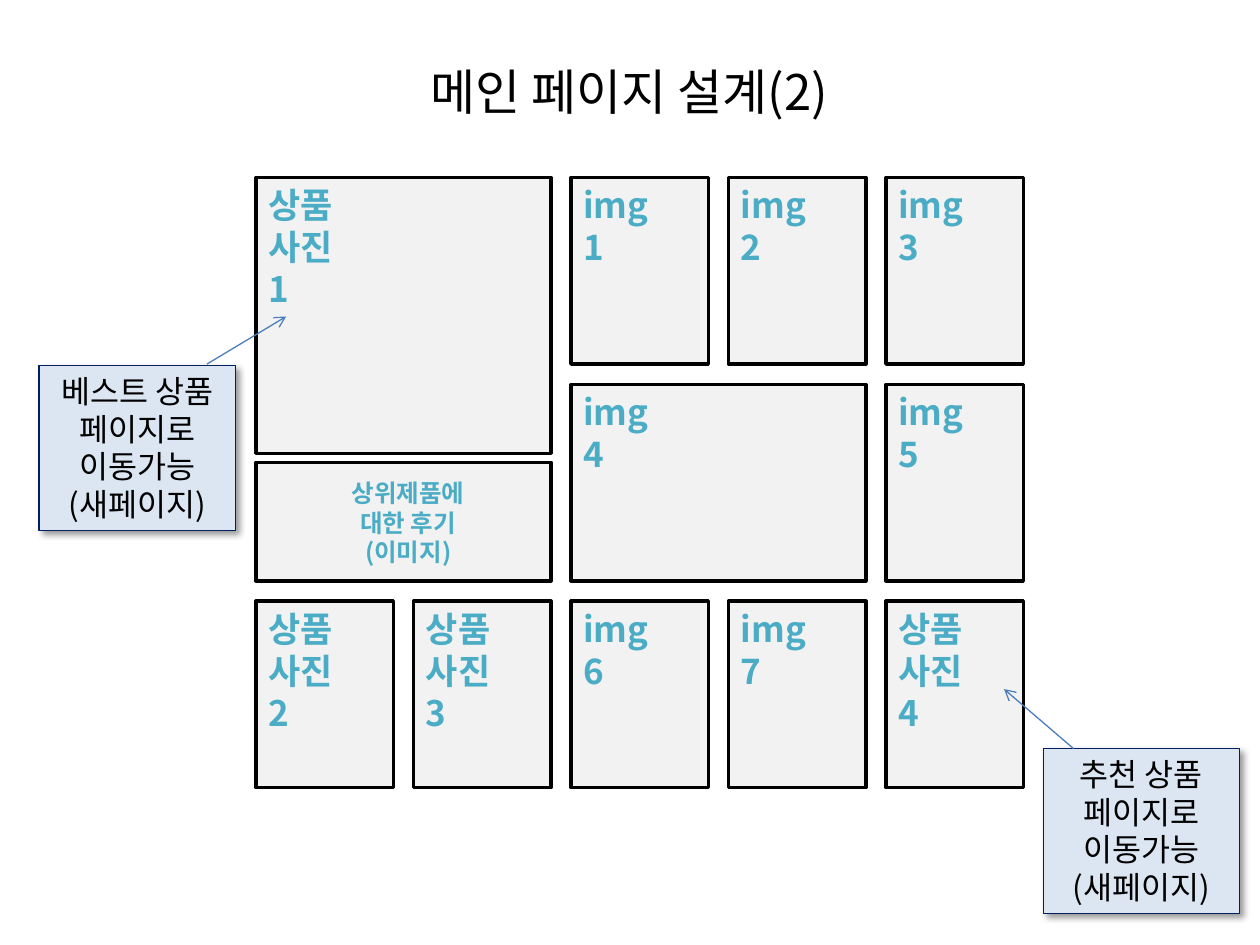
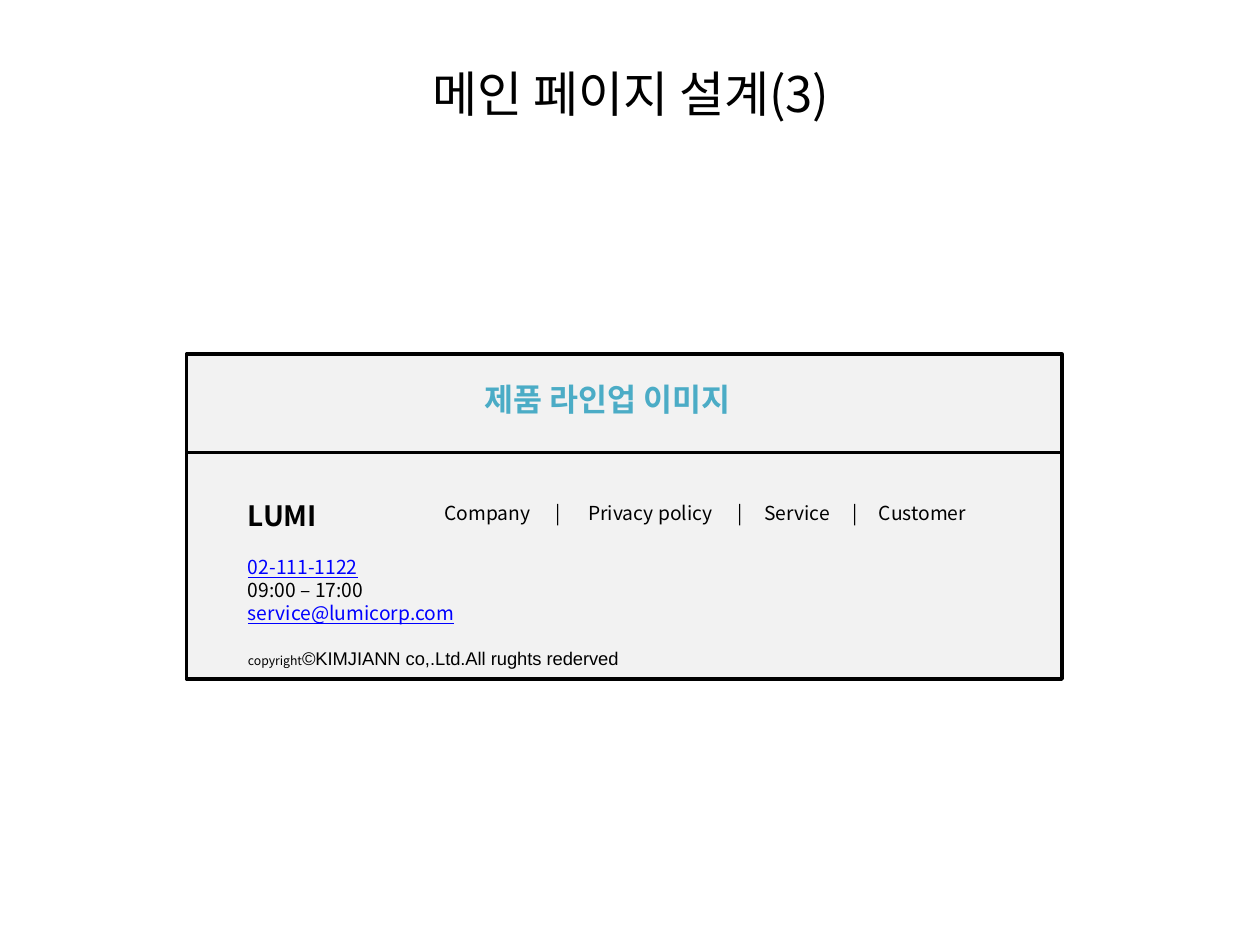
from lxml.etree import SubElement
from pptx import Presentation
from pptx.dml.color import RGBColor
from pptx.enum.shapes import MSO_CONNECTOR, MSO_SHAPE
from pptx.enum.text import MSO_ANCHOR, MSO_AUTO_SIZE, PP_ALIGN
from pptx.oxml.ns import qn
from pptx.util import Cm, Pt

FONT = "Noto Sans CJK KR"
COLORS = {
    "black": "000000",
    "tile": "F2F2F2",
    "label": "4BACC6",
    "callout": "DCE6F2",
    "navy": "002060",
    "arrow": "4B7EBC",
    "link": "0000FF",
}


def rgb(name):
    return RGBColor.from_string(COLORS[name])


def add_run(p, text, size=18, color="black", bold=False, underline=False, font=FONT):
    r = p.add_run()
    r.text = text
    r.font.size = Pt(size)
    r.font.bold = bold
    r.font.underline = underline
    r.font.color.rgb = rgb(color)
    r.font.name = font
    SubElement(r.font._element, qn("a:ea"), typeface=font)


def write(tf, lines, align=PP_ALIGN.LEFT, **fmt):
    """Write one paragraph per line, all in the same format."""
    for i, line in enumerate(lines):
        p = tf.paragraphs[0] if i == 0 else tf.add_paragraph()
        p.alignment = align
        add_run(p, line, **fmt)


class Deck:
    def __init__(self):
        self.prs = Presentation()
        self.prs.slide_width, self.prs.slide_height = Cm(25.4), Cm(19.05)
        self.s = None

    def slide(self, title, x, y, w, h):
        self.s = self.prs.slides.add_slide(self.prs.slide_layouts[5])
        sp = self.s.shapes.title
        sp.left, sp.top, sp.width, sp.height = Cm(x), Cm(y), Cm(w), Cm(h)
        sp.text_frame.vertical_anchor = MSO_ANCHOR.MIDDLE
        write(sp.text_frame, [title], PP_ALIGN.CENTER, size=28)

    def rect(self, x, y, w, h, fill="tile", line="black", width=2):
        sp = self.s.shapes.add_shape(MSO_SHAPE.RECTANGLE, Cm(x), Cm(y), Cm(w), Cm(h))
        sp.shadow.inherit = False
        sp.fill.solid()
        sp.fill.fore_color.rgb = rgb(fill)
        sp.line.color.rgb = rgb(line)
        sp.line.width = Pt(width)
        return sp

    def text(self, x, y, w, h, lines=(), **fmt):
        tf = self.s.shapes.add_textbox(Cm(x), Cm(y), Cm(w), Cm(h)).text_frame
        tf.word_wrap = True
        tf.auto_size = MSO_AUTO_SIZE.SHAPE_TO_FIT_TEXT
        write(tf, lines, **fmt)
        return tf

    def callout(self, x, y, lines):
        sp = self.rect(x, y, 3.96, 3.33, "callout", "navy", 0.75)
        effects = sp._element.spPr.find(qn("a:effectLst"))
        shadow = SubElement(effects, qn("a:outerShdw"), blurRad=str(Pt(4)),
                            dist=str(Pt(3)), dir=str(45 * 60000), algn="tl", rotWithShape="0")
        color = SubElement(shadow, qn("a:srgbClr"), val=COLORS["black"])
        SubElement(color, qn("a:alpha"), val="40000")
        sp.text_frame.word_wrap = True
        sp.text_frame.vertical_anchor = MSO_ANCHOR.TOP
        write(sp.text_frame, lines, PP_ALIGN.CENTER)

    def arrow(self, x1, y1, x2, y2):
        c = self.s.shapes.add_connector(MSO_CONNECTOR.STRAIGHT, Cm(x1), Cm(y1), Cm(x2), Cm(y2))
        c.line.color.rgb = rgb("arrow")
        c.line.width = Pt(0.75)
        SubElement(c.line._get_or_add_ln(), qn("a:tailEnd"), type="arrow")
        SubElement(c._element.spPr, qn("a:effectLst"))


def tile_grid(deck):
    left, pitch, cell = 5.16, 3.175, 2.77
    rows = [(3.58, 3.76), (7.75, 3.96), (12.12, 3.76)]
    # label, column, row, columns spanned
    tiles = [
        ("img1", 2, 0, 1), ("img2", 3, 0, 1), ("img3", 4, 0, 1),
        ("img4", 2, 1, 2), ("img5", 4, 1, 1),
        ("상품사진2", 0, 2, 1), ("상품사진3", 1, 2, 1),
        ("img6", 2, 2, 1), ("img7", 3, 2, 1), ("상품사진4", 4, 2, 1),
    ]
    label = dict(size=20, color="label", bold=True)
    for name, col, row, span in tiles:
        x, (y, h) = left + col * pitch, rows[row]
        deck.rect(x, y, cell + (span - 1) * pitch, h)
        deck.text(x, y, 1.98, 1.96 if name.startswith("img") else 2.82, [name], **label)

    # Best product with its review strip below
    wide = cell + pitch
    deck.rect(left, rows[0][0], wide, 5.56)
    deck.text(left, rows[0][0], 2.18, 2.82, ["상품사진1"], **label)
    deck.rect(left, 9.32, wide, 2.39)
    deck.text(6.35, 9.52, 3.76, 2.06, ["상위제품에 대한 후기", "(이미지)"],
              align=PP_ALIGN.CENTER, size=14, color="label", bold=True)


def footer_mockup(deck):
    left, width = 3.76, 17.65
    deck.rect(left, 9.12, width, 4.57)
    deck.rect(left, 7.14, width, 1.98)
    deck.text(9.52, 7.54, 6.15, 1.02, ["제품 라인업 이미지"], color="label", bold=True)

    # Contact block
    tf = deck.text(4.75, 9.93, 10.92, 3.73, ["LUMI"], size=16, bold=True)
    contacts = [("02-111-1122", True), ("09:00 – 17:00", False), ("service@lumicorp.com", True)]
    for i, (line, linked) in enumerate(contacts):
        p = tf.add_paragraph()
        p.space_before = Pt(0 if i else 13)
        add_run(p, line, size=11, color="link" if linked else "black", underline=linked)
    p = tf.add_paragraph()
    p.space_before = Pt(13)
    add_run(p, "copyright", size=7)
    add_run(p, "©KIMJIANN co,.Ltd.All rughts rederved", size=10.5, font="Arial")

    # Menu: bars on centred tabs, items on left tabs
    tf = deck.text(8.71, 9.98, 12.52, 0.74)
    p = tf.paragraphs[0]
    tabs = SubElement(p._p.get_or_add_pPr(), qn("a:tabLst"))
    for bar, item in [(2.29, 2.9), (5.97, 6.45), (8.27, 8.76)]:
        SubElement(tabs, qn("a:tab"), pos=str(Cm(bar)), algn="ctr")
        SubElement(tabs, qn("a:tab"), pos=str(Cm(item)), algn="l")
    add_run(p, "\t|\t".join(["Company", "Privacy policy", "Service", "Customer"]), size=11)


def main():
    deck = Deck()

    # Slide 1: product tiles and where they lead
    deck.slide("메인 페이지 설계(2)", 8.13, 0.86, 9.12, 1.93)
    tile_grid(deck)
    deck.callout(0.79, 7.37, ["베스트 상품", "페이지로", "이동가능", "(새페이지)"])
    deck.arrow(4.17, 7.34, 5.77, 6.38)
    deck.callout(21.03, 15.09, ["추천 상품 페이지로", "이동가능", "(새페이지)"])
    deck.arrow(21.64, 15.09, 20.24, 13.89)

    # Slide 2: line-up banner and page footer
    deck.slide("메인 페이지 설계(3)", 7.75, 0.99, 9.93, 1.78)
    footer_mockup(deck)

    deck.prs.save("out.pptx")


if __name__ == "__main__":
    main()
